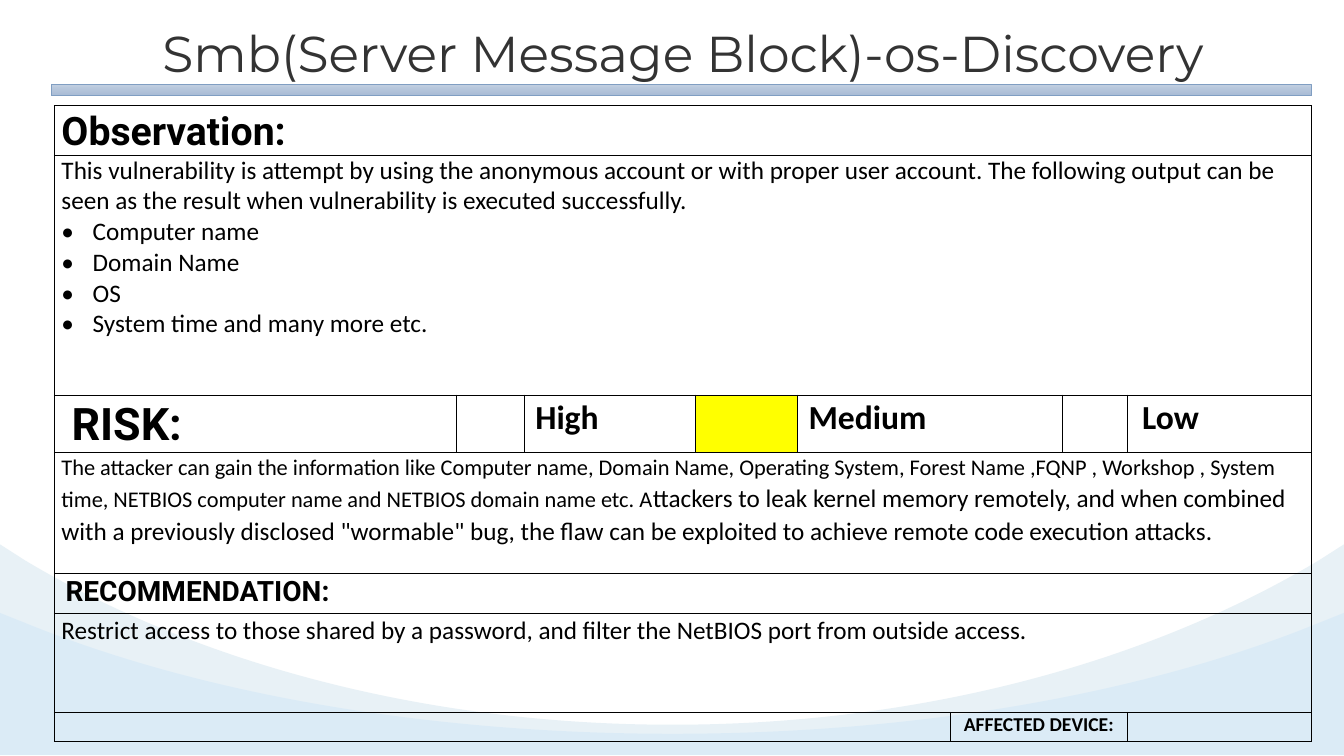
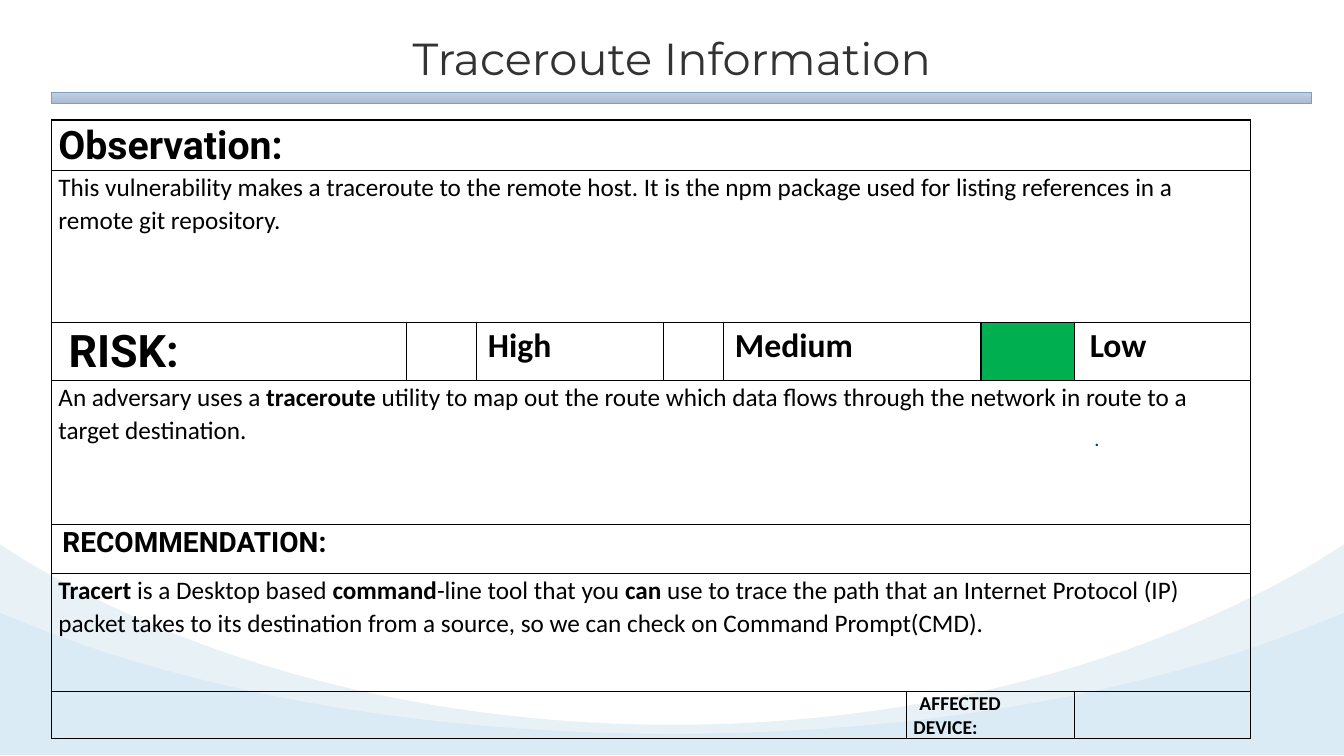
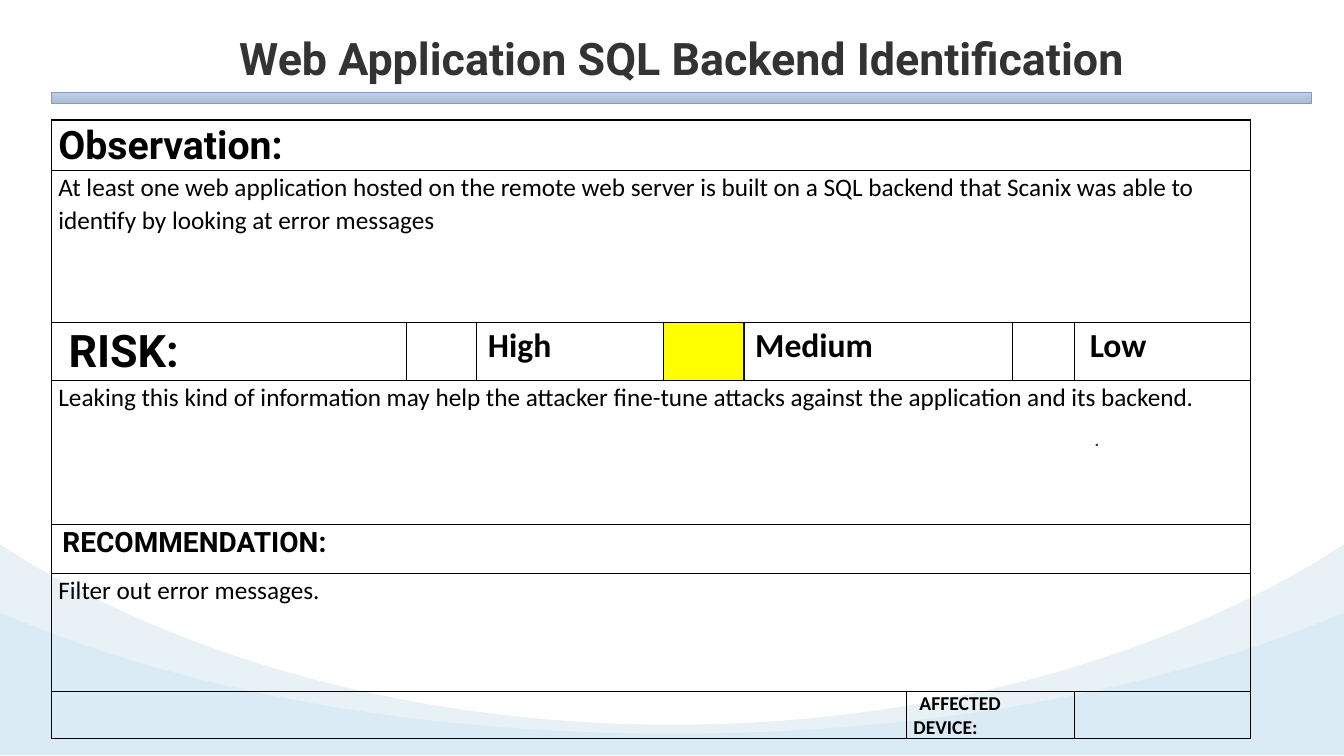
from dataclasses import dataclass

import pptx
import pptx.dml.color
import pptx.enum.shapes
import pptx.enum.text
import pptx.oxml
import pptx.oxml.ns
import pptx.util
from pptx.util import Inches

ALIGN = pptx.enum.text.PP_ALIGN
ANCHOR = pptx.enum.text.MSO_ANCHOR
RECT = pptx.enum.shapes.MSO_SHAPE.RECTANGLE


@dataclass(frozen=True)
class Theme:
    black: str = "000000"
    white: str = "FFFFFF"
    title: str = "333333"
    dot: str = "083D65"
    wave_back: str = "E8F1F6"
    wave_front: str = "7AC2F9"
    wave_front_alpha: int = 11
    band_top: str = "C0CEE0"
    band_bottom: str = "A8BBD5"
    band_line: str = "809EC2"
    medium: str = "FFFF00"
    low: str = "00B050"
    body_font: str = "Calibri"
    head_font: str = "Roboto"
    light_font: str = "Montserrat"
    dot_font: str = "Lato"
    wide_title_size: int = 36
    title_size: int = 32
    risk_size: int = 32
    head_size: int = 28
    level_size: int = 24
    subhead_size: int = 20
    body_size: int = 18
    dense_size: int = 16
    small_size: int = 14
    line_spacing: float = 1.07
    space_after: int = 8


T = Theme()


@dataclass(frozen=True)
class Run:
    text: str
    size: int = T.body_size
    bold: bool = False
    font: str = T.body_font
    color: str = T.black


@dataclass(frozen=True)
class Para:
    runs: tuple[Run, ...]
    indent: float = 0
    bullet: bool = False
    spaced: bool = True


@dataclass(frozen=True)
class Title:
    run: Run
    box: tuple[float, float, float, float]
    anchor: ANCHOR = ANCHOR.MIDDLE


@dataclass(frozen=True)
class Grid:
    left: float
    top: float
    cols: tuple[float, ...]
    rows: tuple[float, ...]


@dataclass(frozen=True)
class Finding:
    title: Title
    band_top: float
    grid: Grid
    observation: tuple[Para, ...]
    risk: tuple[Para, ...]
    recommendation: tuple[Para, ...]
    marked_col: int
    mark: str
    dot: bool = True


@dataclass(frozen=True)
class Wave:
    edge: float
    shoulder: float
    control: float
    bottom: float
    color: str
    alpha: int = 100


WAVES = (
    Wave(5.4, 5.56, 6.57, 7.19, T.wave_back),
    Wave(6.08, 6.18, 6.87, 7.28, T.wave_front, T.wave_front_alpha),
)


def rgb(color: str) -> pptx.dml.color.RGBColor:
    return pptx.dml.color.RGBColor.from_string(color)


def element(tag: str, **attrs: str):
    el = pptx.oxml.parse_xml(f"<{tag} {pptx.oxml.ns.nsdecls('a')}/>")
    for name, value in attrs.items():
        el.set(name, value)
    return el


def add_run(p, run: Run) -> None:
    r = p.add_run()
    r.text = run.text
    r.font.size = pptx.util.Pt(run.size)
    r.font.bold = run.bold
    r.font.name = run.font
    r.font.color.rgb = rgb(run.color)


def write(tf, paras: tuple[Para, ...]) -> None:
    for i, para in enumerate(paras):
        p = tf.add_paragraph() if i else tf.paragraphs[0]
        ppr = p._p.get_or_add_pPr()
        if para.bullet:
            ppr.set("marL", str(Inches(para.indent)))
            ppr.set("indent", str(-Inches(para.indent)))
            ppr.append(element("a:buFont", typeface=T.body_font))
            ppr.append(element("a:buChar", char="•"))
        elif para.indent:
            ppr.set("marL", "0")
            ppr.set("indent", str(Inches(para.indent)))
        if para.spaced:
            p.line_spacing = T.line_spacing
            p.space_after = pptx.util.Pt(T.space_after)
        for run in para.runs:
            add_run(p, run)


def curve_segments(sp, starts: tuple[int, ...]) -> None:
    lines = sp._element.findall(".//" + pptx.oxml.ns.qn("a:lnTo"))
    for start in starts:
        curve = element("a:cubicBezTo")
        lines[start].addprevious(curve)
        for line in lines[start:start + 3]:
            curve.append(line[0])
            line.getparent().remove(line)


def draw_wave(s, w: Wave) -> None:
    points = [
        (0.25, w.shoulder),
        (1.94, w.control), (4.2, w.bottom), (6.67, w.bottom),
        (9.14, w.bottom), (11.39, w.control), (13.08, w.shoulder),
        (13.33, w.edge), (13.33, 7.49), (0, 7.49),
    ]
    fb = s.shapes.build_freeform(0, Inches(w.edge))
    fb.add_line_segments([(Inches(x), Inches(y)) for x, y in points], close=True)
    sp = fb.convert_to_shape()
    curve_segments(sp, (1, 4))
    sp.shadow.inherit = False
    sp.fill.solid()
    sp.fill.fore_color.rgb = rgb(w.color)
    sp.line.fill.background()
    if w.alpha < 100:
        clr = sp._element.spPr.find(".//" + pptx.oxml.ns.qn("a:srgbClr"))
        clr.append(element("a:alpha", val=str(w.alpha * 1000)))


def draw_dot(s) -> None:
    sp = s.shapes.add_textbox(Inches(9.62), Inches(4.24), Inches(2.52), Inches(0.24))
    tf = sp.text_frame
    tf.word_wrap = True
    tf.margin_left = tf.margin_right = tf.margin_top = tf.margin_bottom = 0
    tf.paragraphs[0].alignment = ALIGN.CENTER
    add_run(tf.paragraphs[0], Run(".", T.small_size, font=T.dot_font, color=T.dot))


def draw_title(s, title: Title) -> None:
    sp = s.shapes.add_shape(RECT, *map(Inches, title.box))
    sp.shadow.inherit = False
    sp.fill.solid()
    sp.fill.fore_color.rgb = rgb(T.white)
    sp.line.color.rgb = rgb(T.white)
    sp.line.width = pptx.util.Pt(1)
    tf = sp.text_frame
    tf.word_wrap = True
    tf.margin_top = tf.margin_bottom = Inches(0.01)
    tf.vertical_anchor = title.anchor
    tf.paragraphs[0].alignment = ALIGN.CENTER
    add_run(tf.paragraphs[0], title.run)


def draw_band(s, top: float) -> None:
    sp = s.shapes.add_shape(RECT, Inches(0.51), Inches(top), Inches(12.5), Inches(0.11))
    sp.shadow.inherit = False
    sp.fill.gradient()
    sp.fill.gradient_angle = 270
    for stop, color in zip(sp.fill.gradient_stops, (T.band_top, T.band_bottom)):
        stop.color.rgb = rgb(color)
    sp.line.color.rgb = rgb(T.band_line)
    sp.line.width = pptx.util.Pt(0.5)


def style_cell(cell) -> None:
    cell.margin_left = cell.margin_right = Inches(0.07)
    cell.margin_top = cell.margin_bottom = 0
    tcpr = cell._tc.get_or_add_tcPr()
    for side in ("a:lnL", "a:lnR", "a:lnT", "a:lnB"):
        ln = element(side, w=str(pptx.util.Pt(1)))
        fill = element("a:solidFill")
        fill.append(element("a:srgbClr", val=T.black))
        ln.append(fill)
        tcpr.append(ln)
    cell.fill.background()


def draw_table(s, f: Finding) -> None:
    g = f.grid
    tbl = s.shapes.add_table(
        len(g.rows), len(g.cols), Inches(g.left), Inches(g.top),
        Inches(sum(g.cols)), Inches(sum(g.rows))).table
    tbl.first_row = tbl.horz_banding = False
    for col, width in zip(tbl.columns, g.cols):
        col.width = Inches(width)
    for row, height in zip(tbl.rows, g.rows):
        row.height = Inches(height)
    for cell in tbl.iter_cells():
        style_cell(cell)

    last = len(g.cols) - 1
    spans = [(row, 0, last) for row in (0, 1, 3, 4, 5)]
    spans += [(2, 4, 5), (6, 0, 4), (6, 5, 6)]
    for row, start, end in spans:
        tbl.cell(row, start).merge(tbl.cell(row, end))

    def head(text: str, size: int, indent: float = 0) -> tuple[Para, ...]:
        return (Para((Run(text, size, True, T.head_font),), indent),)

    def level(text: str, indent: float) -> tuple[Para, ...]:
        return (Para((Run(text, T.level_size, True),), indent),)

    device = Run("AFFECTED DEVICE:", T.small_size, True)
    contents = {
        (0, 0): head("Observation:", T.head_size),
        (1, 0): f.observation,
        (2, 0): head("RISK:", T.risk_size, 0.1),
        (2, 2): level("High", 0.04),
        (2, 4): level("Medium", 0.04),
        (2, 7): level("Low", 0.08),
        (3, 0): f.risk,
        (4, 0): head("RECOMMENDATION:", T.subhead_size, 0.04),
        (5, 0): f.recommendation,
        (6, 5): (Para((device,), 0.06, spaced=False),),
    }
    for (row, col), paras in contents.items():
        write(tbl.cell(row, col).text_frame, paras)
    for col in (1, 3, 6):
        cell = tbl.cell(2, col)
        cell.fill.solid()
        cell.fill.fore_color.rgb = rgb(f.mark if col == f.marked_col else T.white)
    for cell in tbl.iter_cells():
        if not cell.text_frame.text:
            p = cell.text_frame.paragraphs[0]
            p._p.append(element("a:endParaRPr", sz=str(T.small_size * 100)))


def body(*runs: Run) -> tuple[Para, ...]:
    return (Para(runs),)


def bold(text: str) -> Run:
    return Run(text, bold=True)


STANDARD_ROWS = (0.38, 1.51, 0.53, 1.43, 0.49, 1.17, 0.34)

FINDINGS = (
    Finding(
        title=Title(
            Run("Smb(Server Message Block)-os-Discovery", T.wide_title_size,
                False, T.light_font, T.title),
            (0.54, 0.03, 12.47, 0.97)),
        band_top=0.84,
        grid=Grid(0.54, 1.05, (3.99, 0.67, 1.7, 1.01, 1.52, 1.11, 0.64, 1.83),
                  (0.49, 2.38, 0.57, 1.2, 0.4, 0.98, 0.29)),
        observation=(
            Para((Run("This vulnerability is attempt by using the anonymous account or with "
                      "proper user account. The following output can be seen as the result "
                      "when vulnerability is executed successfully."),), spaced=False),
            *(Para((Run(item),), 0.31, bullet=True, spaced=False)
              for item in ("Computer name", "Domain Name", "OS",
                           "System time and many more etc.")),
        ),
        risk=body(
            Run("The attacker can gain the information like Computer name, Domain Name, "
                "Operating System, Forest Name ,FQNP , Workshop , System time, NETBIOS "
                "computer name and NETBIOS domain name etc. A", T.dense_size),
            Run("ttackers to leak kernel memory remotely, and when combined with a "
                "previously disclosed \"wormable\" bug, the flaw can be exploited to "
                "achieve remote code execution attacks.")),
        recommendation=body(
            Run("Restrict access to those shared by a password, and filter the NetBIOS "
                "port from outside access.")),
        marked_col=3,
        mark=T.medium,
        dot=False,
    ),
    Finding(
        title=Title(
            Run("Traceroute Information", T.title_size, False, T.light_font, T.title),
            (1.43, 0.03, 10.47, 1.09)),
        band_top=0.92,
        grid=Grid(0.51, 1.19, (3.52, 0.7, 1.85, 0.6, 1.81, 0.74, 0.93, 1.74),
                  STANDARD_ROWS),
        observation=body(
            Run("This vulnerability makes a traceroute to the remote host. It is the npm "
                "package used for listing references in a remote git repository.")),
        risk=body(
            Run("An adversary uses a "), bold("traceroute"),
            Run(" utility to map out the route which data flows through the network in "
                "route to a target destination.")),
        recommendation=body(
            bold("Tracert"), Run(" is a Desktop based "), bold("command"),
            Run("-line tool that you "), bold("can"),
            Run(" use to trace the path that an Internet Protocol (IP) packet takes to "
                "its destination from a source, so we can check on Command Prompt(CMD).")),
        marked_col=6,
        mark=T.low,
    ),
    Finding(
        title=Title(
            Run("Web Application SQL Backend Identification", T.title_size,
                True, T.head_font, T.title),
            (1.53, 0.29, 10.47, 1.09), ANCHOR.TOP),
        band_top=0.92,
        grid=Grid(0.51, 1.19, (3.52, 0.7, 1.85, 0.8, 1.61, 1.05, 0.62, 1.74),
                  STANDARD_ROWS),
        observation=body(
            Run("At least one web application hosted on the remote web server is built on "
                "a SQL backend that Scanix was able to identify by looking at error "
                "messages")),
        risk=body(
            Run("Leaking this kind of information may help the attacker fine-tune attacks "
                "against the application and its backend.")),
        recommendation=body(Run("Filter out error messages.")),
        marked_col=3,
        mark=T.medium,
    ),
)


def main() -> None:
    prs = pptx.Presentation()
    prs.slide_width, prs.slide_height = Inches(13.33), Inches(7.5)
    for finding in FINDINGS:
        s = prs.slides.add_slide(prs.slide_layouts[6])
        if finding.dot:
            draw_dot(s)
        for wave in WAVES:
            draw_wave(s, wave)
        draw_title(s, finding.title)
        draw_band(s, finding.band_top)
        draw_table(s, finding)
    prs.save("out.pptx")


if __name__ == "__main__":
    main()
